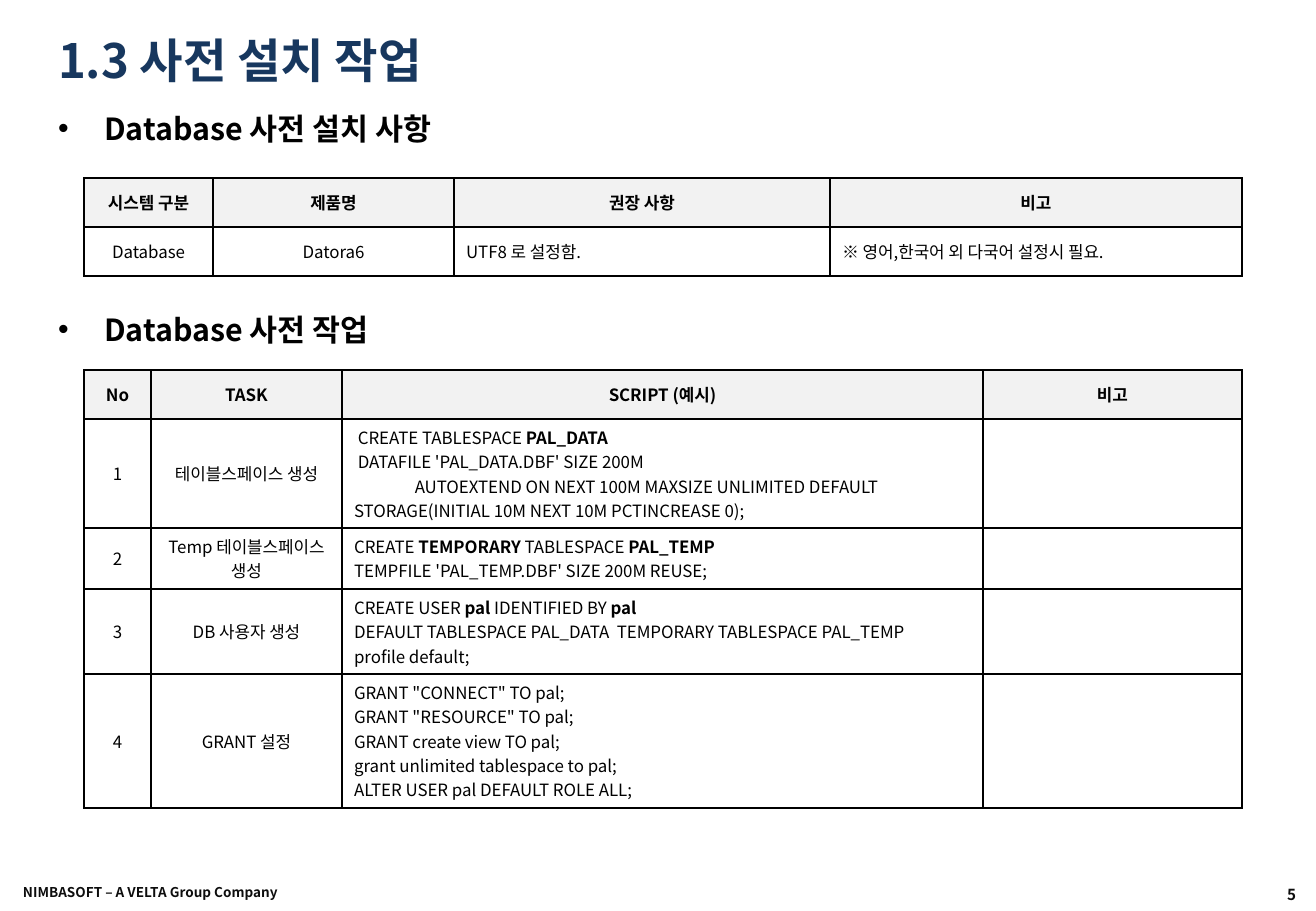
from lxml.etree import SubElement
from pptx import Presentation
from pptx.dml.color import RGBColor
from pptx.enum.text import MSO_ANCHOR as Anchor, MSO_AUTO_SIZE as AutoSize, PP_ALIGN as Align
from pptx.oxml.ns import qn
from pptx.util import Emu, Pt

NAVY = RGBColor(0x17, 0x37, 0x5E)
BLACK = RGBColor(0, 0, 0)
FOOTER_INK = RGBColor(0x0D, 0x0D, 0x0D)
HEADER_GRAY = RGBColor(0xF2, 0xF2, 0xF2)
FONT = "Noto Sans CJK KR"
TWO_CONTENT = 3
TABLE_LEFT = 84


def px(value):
    return Emu(round(value * 914400 / 121.5))


class SlideBuilder:
    def __init__(self, presentation):
        layout = presentation.slide_layouts[TWO_CONTENT]
        self.slide = presentation.slides.add_slide(layout)

    def style_paragraph(self, paragraph, size, color, bold, align):
        paragraph.alignment = align
        font = paragraph.font
        font.name, font.size, font.bold = FONT, Pt(size), bold
        font.color.rgb = color
        defaults = paragraph._p.pPr.find(qn("a:defRPr"))
        SubElement(defaults, qn("a:ea"), typeface=FONT)

    def set_text(self, frame, text, size, color=BLACK, bold=True, align=Align.LEFT):
        for index, line in enumerate(text.split("\n")):
            paragraph = frame.paragraphs[0] if index == 0 else frame.add_paragraph()
            for part, words in enumerate(line.split("**")):
                if words:
                    run = paragraph.add_run()
                    run.text = words
                    if part % 2:
                        run.font.bold = True
            self.style_paragraph(paragraph, size, color, bold, align)

    def place(self, shape, left, top, width, height):
        shape.left, shape.top = px(left), px(top)
        shape.width, shape.height = px(width), px(height)
        shape.text_frame.auto_size = AutoSize.NONE

    def title(self, text, *box):
        shape = self.slide.shapes.title
        self.place(shape, *box)
        shape.text_frame.vertical_anchor = Anchor.MIDDLE
        self.set_text(shape.text_frame, text, 28, NAVY)

    def bullet(self, index, text, *box):
        shape = self.slide.placeholders[index]
        self.place(shape, *box)
        self.set_text(shape.text_frame, text, 18)
        properties = shape.text_frame.paragraphs[0]._p.pPr
        properties.set("marL", str(px(46)))
        properties.set("indent", str(-px(46)))

    def label(self, text, size, align, *box):
        shape = self.slide.shapes.add_textbox(*map(px, box))
        frame = shape.text_frame
        frame.word_wrap = True
        frame.vertical_anchor = Anchor.MIDDLE
        frame.margin_left = frame.margin_right = px(15)
        self.set_text(frame, text, size, FOOTER_INK, align=align)

    def border(self, cell):
        properties = cell._tc.get_or_add_tcPr()
        for side in ("lnL", "lnR", "lnT", "lnB"):
            line = SubElement(properties, qn(f"a:{side}"), w=str(Pt(1)))
            fill = SubElement(line, qn("a:solidFill"))
            SubElement(fill, qn("a:srgbClr"), val=str(BLACK))

    def table(self, top, widths, heights, rows, centered_columns):
        box = (TABLE_LEFT, top, sum(widths), sum(heights))
        table = self.slide.shapes.add_table(len(rows), len(widths), *map(px, box)).table
        table.first_row = table.horz_banding = False
        for column, width in zip(table.columns, widths):
            column.width = px(width)
        for row, height in zip(table.rows, heights):
            row.height = px(height)
        for row_index, texts in enumerate(rows):
            header = row_index == 0
            for column_index, text in enumerate(texts):
                cell = table.cell(row_index, column_index)
                self.border(cell)
                if header:
                    cell.fill.solid()
                    cell.fill.fore_color.rgb = HEADER_GRAY
                else:
                    cell.fill.background()
                cell.vertical_anchor = Anchor.MIDDLE
                centered = header or column_index < centered_columns
                align = Align.CENTER if centered else Align.LEFT
                self.set_text(cell.text_frame, text, 10, bold=header, align=align)


SETTINGS = [
    ("시스템 구분", "제품명", "권장 사항", "비고"),
    ("Database", "Datora6", "UTF8 로 설정함.", "※ 영어,한국어 외 다국어 설정시 필요."),
]

TASKS = [
    ("No", "TASK", "SCRIPT (예시)", "비고"),
    ("1", "테이블스페이스 생성",
     " CREATE TABLESPACE **PAL_DATA**\n"
     " DATAFILE 'PAL_DATA.DBF' SIZE 200M\n"
     "\tAUTOEXTEND ON NEXT 100M MAXSIZE UNLIMITED DEFAULT "
     "STORAGE(INITIAL 10M NEXT 10M PCTINCREASE 0);", ""),
    ("2", "Temp 테이블스페이스 생성",
     "CREATE **TEMPORARY** TABLESPACE **PAL_TEMP**\n"
     "TEMPFILE 'PAL_TEMP.DBF' SIZE 200M REUSE;", ""),
    ("3", "DB 사용자 생성",
     "CREATE USER **pal** IDENTIFIED BY **pal**\n"
     "DEFAULT TABLESPACE PAL_DATA  TEMPORARY TABLESPACE PAL_TEMP\n"
     "profile default;", ""),
    ("4", "GRANT 설정",
     'GRANT "CONNECT" TO pal;\n'
     'GRANT "RESOURCE" TO pal;\n'
     "GRANT create view TO pal;\n"
     "grant unlimited tablespace to pal;\n"
     "ALTER USER pal DEFAULT ROLE ALL;", ""),
]

presentation = Presentation()
presentation.slide_width, presentation.slide_height = px(1316), px(911)

builder = SlideBuilder(presentation)
builder.label("5", 9, Align.RIGHT, 1004, 869, 307, 50)
builder.label("NIMBASOFT – A VELTA Group Company", 8, Align.LEFT, 8, 867, 417, 50)
builder.title("1.3 사전 설치 작업", 46, 26, 1185, 67)
builder.bullet(1, "Database 사전 설치 사항", 46, 104, 1204, 55)
builder.table(178, (129, 241, 376, 412), (49, 49), SETTINGS, 2)
builder.bullet(2, "Database 사전 작업", 46, 305, 1204, 55)
builder.table(370, (67, 191, 641, 259), (49, 109, 61, 85, 134), TASKS, 2)

presentation.save("out.pptx")
